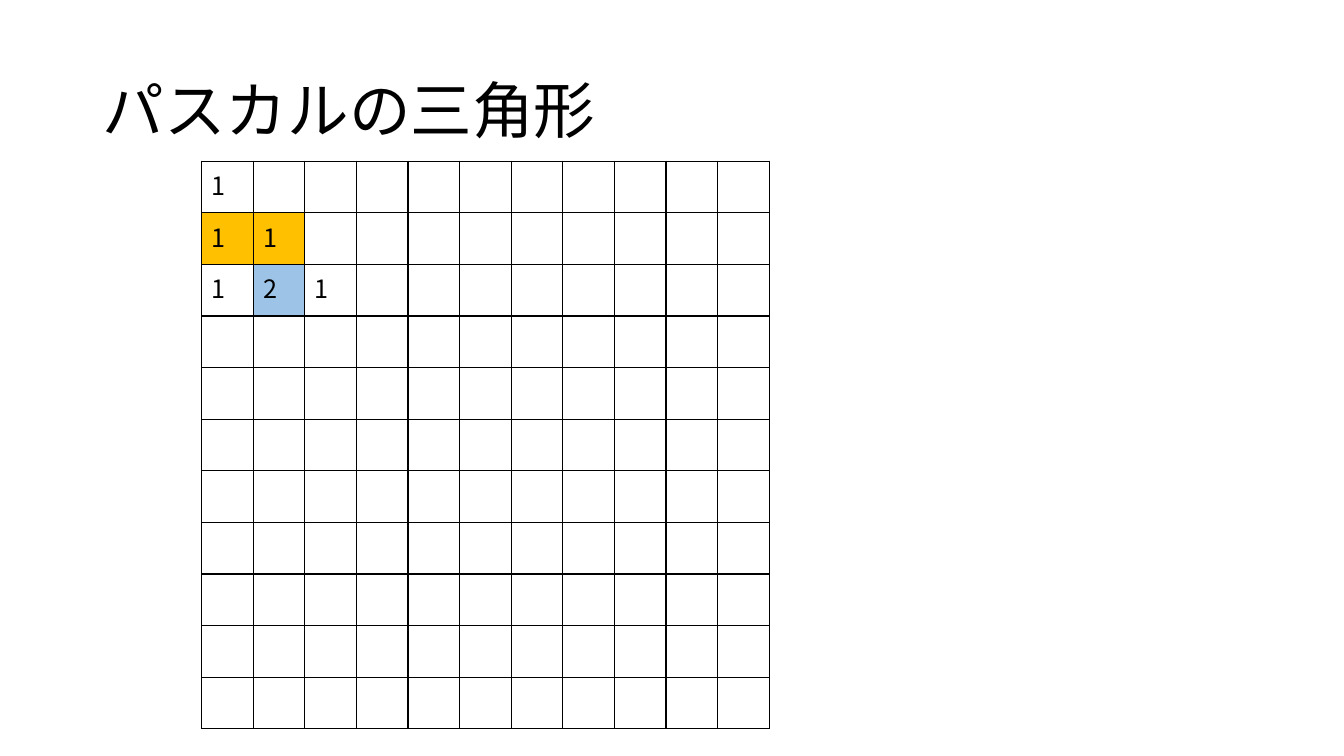
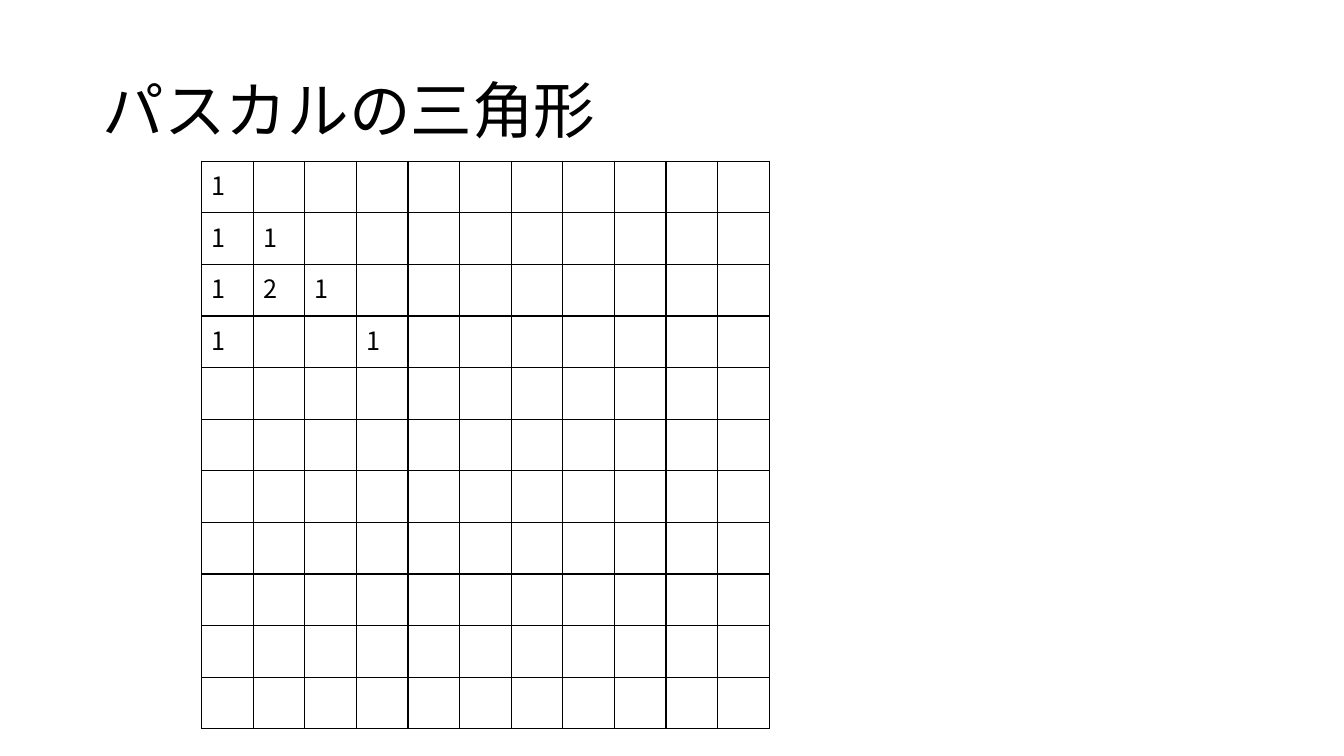
import pptx
import pptx.dml.color
import pptx.enum.text
import pptx.oxml.ns
import pptx.util
import lxml.etree
from dataclasses import dataclass

Inches = pptx.util.Inches


@dataclass(frozen=True)
class Theme:
    font: str = "Noto Sans CJK JP"
    ink: str = "000000"
    paper: str = "FFFFFF"
    source: str = "FFC000"
    result: str = "9DC3E6"
    title: int = 44
    body: int = 18
    line: int = 1


class Deck:
    def __init__(self, theme):
        self.theme = theme
        self.show = pptx.Presentation()
        self.show.slide_width = Inches(13.33)
        self.show.slide_height = Inches(7.5)
        self.slide = None

    def page(self):
        self.slide = self.show.slides.add_slide(self.show.slide_layouts[6])

    def run(self, para, text, size):
        run = para.add_run()
        run.text = text
        font = run.font
        font.name = self.theme.font
        font.size = pptx.util.Pt(size)
        font.color.rgb = pptx.dml.color.RGBColor.from_string(self.theme.ink)
        # East Asian text takes its own font entry
        east = lxml.etree.Element(pptx.oxml.ns.qn("a:ea"), typeface=self.theme.font)
        run._r.rPr.find(pptx.oxml.ns.qn("a:latin")).addnext(east)

    def title(self, text):
        box = self.slide.shapes.add_textbox(
            Inches(0.92), Inches(0.4), Inches(11.5), Inches(1.45))
        frame = box.text_frame
        frame.word_wrap = True
        frame.vertical_anchor = pptx.enum.text.MSO_ANCHOR.MIDDLE
        para = frame.paragraphs[0]
        para.line_spacing = 0.9
        self.run(para, text, self.theme.title)

    def border(self, cell):
        props = cell._tc.get_or_add_tcPr()
        width = str(pptx.util.Pt(self.theme.line))
        qn = pptx.oxml.ns.qn
        for side in ("lnL", "lnR", "lnT", "lnB"):
            line = lxml.etree.SubElement(props, qn("a:" + side), w=width)
            fill = lxml.etree.SubElement(line, qn("a:solidFill"))
            lxml.etree.SubElement(fill, qn("a:srgbClr"), val=self.theme.ink)

    def grid(self, values, marks, count=11):
        side = Inches(5.63)
        table = self.slide.shapes.add_table(
            count, count, Inches(2), Inches(1.6), side, side).table
        table.first_row = False
        table.horz_banding = False
        for row in table.rows:
            row.height = side // count
        for col in table.columns:
            col.width = side // count
        for r in range(count):
            for c in range(count):
                cell = table.cell(r, c)
                self.border(cell)
                cell.fill.solid()
                cell.fill.fore_color.rgb = pptx.dml.color.RGBColor.from_string(
                    marks.get((r, c), self.theme.paper))
                if (r, c) in values:
                    para = cell.text_frame.paragraphs[0]
                    self.run(para, str(values[r, c]), self.theme.body)


theme = Theme()
deck = Deck(theme)

# First three rows of the triangle, then the ends of the fourth
start = {(0, 0): 1, (1, 0): 1, (1, 1): 1, (2, 0): 1, (2, 1): 2, (2, 2): 1}
ends = {(3, 0): 1, (3, 3): 1}
# The two cells that add up to the one below
marks = {(1, 0): theme.source, (1, 1): theme.source, (2, 1): theme.result}

# Slides
for values, tints in ((start, marks), (start | ends, {})):
    deck.page()
    deck.title("パスカルの三角形")
    deck.grid(values, tints)

deck.show.save("out.pptx")
